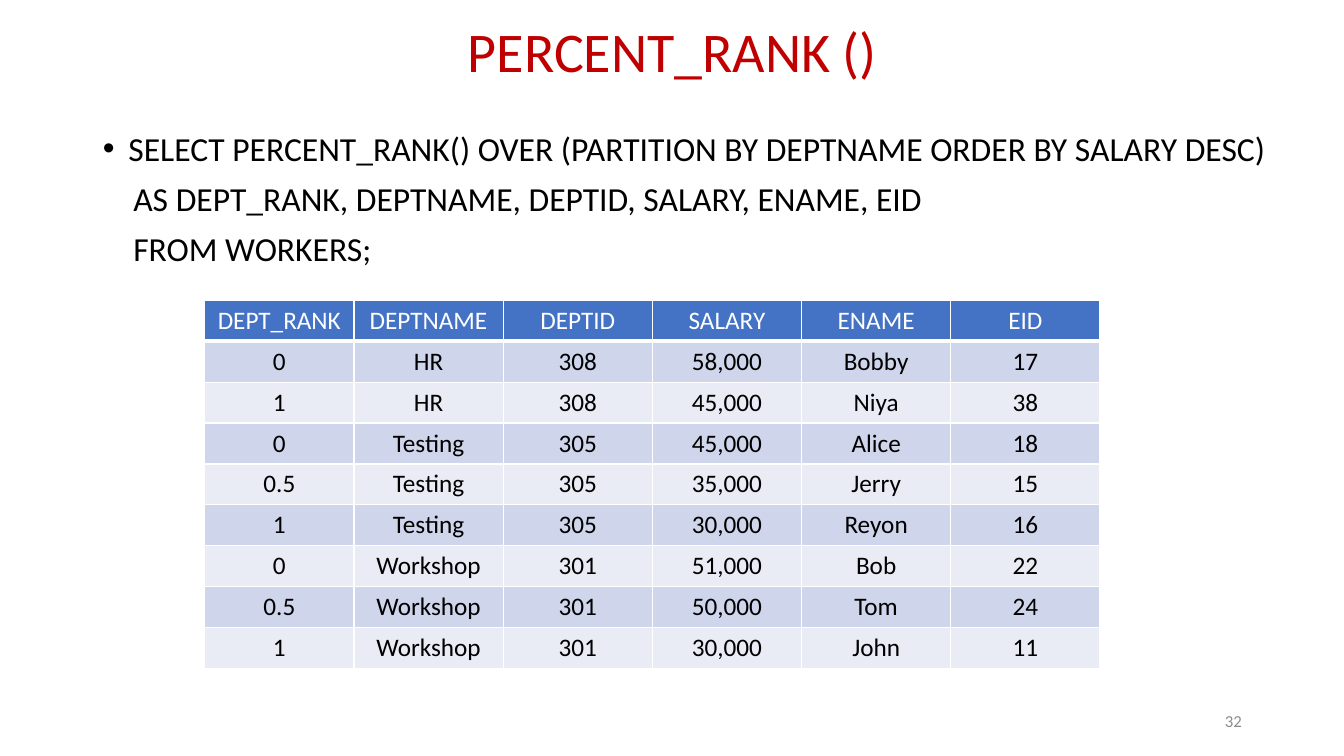
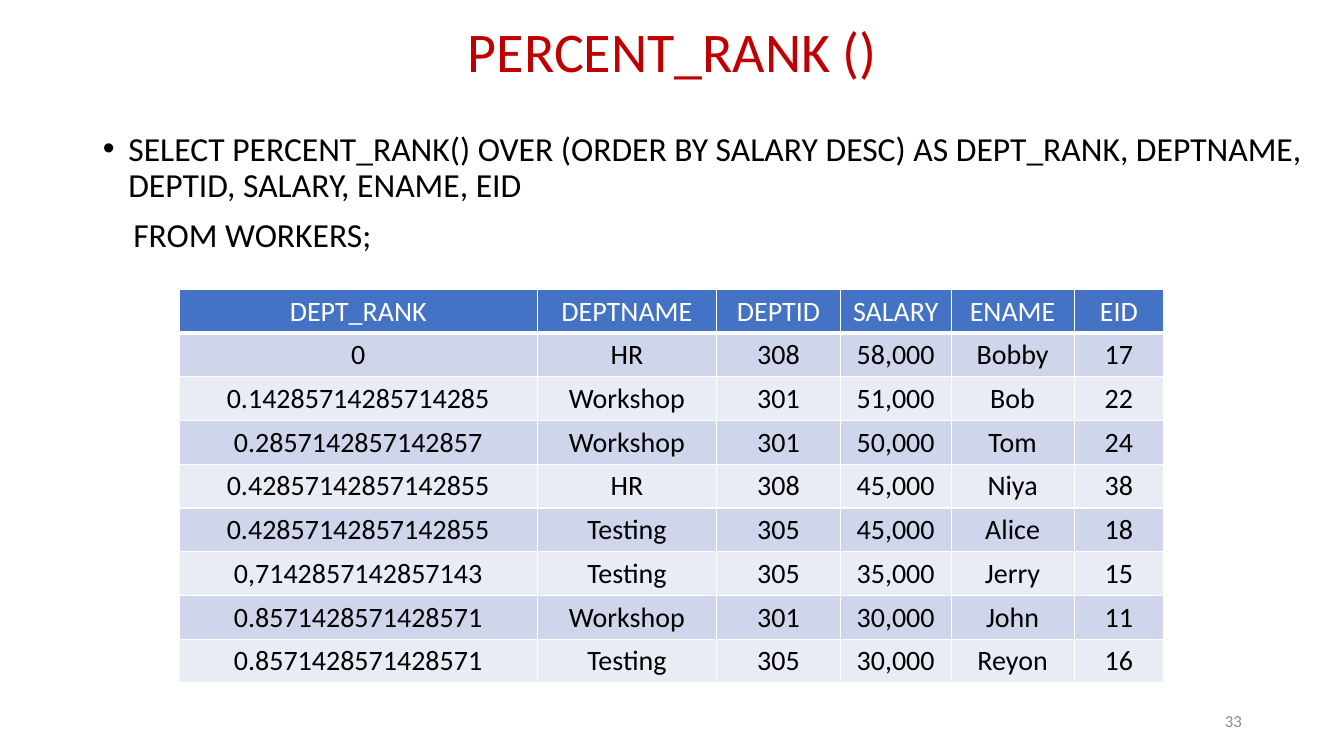
from lxml import etree
from pptx import Presentation
from pptx import util as u
from pptx.dml.color import RGBColor
from pptx.enum import text
from pptx.oxml import ns

FONT = "Calibri"
RED, BLACK, WHITE, GREY = "C00000", "000000", "FFFFFF", "8C8C8C"
HEADER_FILL = "4472C4"
BAND_FILLS = ("CFD5EA", "E9EBF5")

HEADINGS = ("DEPT_RANK", "DEPTNAME", "DEPTID", "SALARY", "ENAME", "EID")
DEPARTMENT_IDS = {"HR": "308", "Testing": "305", "Workshop": "301"}
WORKERS = {
    "Bobby": ("HR", "58,000", "17"),
    "Niya": ("HR", "45,000", "38"),
    "Alice": ("Testing", "45,000", "18"),
    "Jerry": ("Testing", "35,000", "15"),
    "Reyon": ("Testing", "30,000", "16"),
    "Bob": ("Workshop", "51,000", "22"),
    "Tom": ("Workshop", "50,000", "24"),
    "John": ("Workshop", "30,000", "11"),
}

PARTITION_QUERY = (
    "SELECT PERCENT_RANK() OVER (PARTITION BY DEPTNAME ORDER BY SALARY DESC)",
    "    AS DEPT_RANK, DEPTNAME, DEPTID, SALARY, ENAME, EID",
    "    FROM WORKERS;",
)
PARTITION_RANKS = (
    ("0", "Bobby"), ("1", "Niya"),
    ("0", "Alice"), ("0.5", "Jerry"), ("1", "Reyon"),
    ("0", "Bob"), ("0.5", "Tom"), ("1", "John"),
)
OVERALL_QUERY = (
    "SELECT PERCENT_RANK() OVER (ORDER BY SALARY DESC) AS DEPT_RANK, "
    "DEPTNAME, DEPTID, SALARY, ENAME, EID",
    "    FROM WORKERS;",
)
OVERALL_RANKS = (
    ("0", "Bobby"),
    ("0.14285714285714285", "Bob"),
    ("0.2857142857142857", "Tom"),
    ("0.42857142857142855", "Niya"),
    ("0.42857142857142855", "Alice"),
    ("0,7142857142857143", "Jerry"),
    ("0.8571428571428571", "John"),
    ("0.8571428571428571", "Reyon"),
)


def color(hex_value):
    return RGBColor.from_string(hex_value)


def style(para, size, hex_value, align):
    para.alignment = align
    para.font.name = FONT
    para.font.size = u.Pt(size)
    para.font.bold = False
    para.font.color.rgb = color(hex_value)


def place(box, left, top, width, height):
    box.left, box.top = u.Cm(left), u.Cm(top)
    box.width, box.height = u.Cm(width), u.Cm(height)


def add_title(page, title):
    box = page.shapes.title
    place(box, 2.34, -0.48, 29.21, 3.68)
    frame = box.text_frame
    frame.text = title
    frame.auto_size = text.MSO_AUTO_SIZE.NONE
    frame.vertical_anchor = text.MSO_ANCHOR.MIDDLE
    para = frame.paragraphs[0]
    para.line_spacing = 0.9
    style(para, 40, RED, text.PP_ALIGN.CENTER)


def set_bullet(para, shown):
    props = para._p.get_or_add_pPr()
    indent = u.Cm(0.64) if shown else 0
    props.set("marL", str(indent))
    props.set("indent", str(-indent))
    if shown:
        etree.SubElement(props, ns.qn("a:buFont"), typeface="Arial")
        etree.SubElement(props, ns.qn("a:buChar"), char="•")
    else:
        etree.SubElement(props, ns.qn("a:buNone"))


def add_query(page, lines):
    box = page.placeholders[1]
    place(box, 2.34, 3.2, 31.19, 12.09)
    frame = box.text_frame
    frame.auto_size = text.MSO_AUTO_SIZE.NONE
    for index, line in enumerate(lines):
        para = frame.add_paragraph() if index else frame.paragraphs[0]
        para.text = line
        para.line_spacing = 0.9
        para.space_before = u.Pt(10 if index else 0)
        set_bullet(para, index == 0)
        style(para, 24, BLACK, text.PP_ALIGN.LEFT)


def add_page_number(page, number):
    box = page.shapes.add_textbox(u.Cm(23.93), u.Cm(17.65), u.Cm(7.62), u.Cm(1.02))
    frame = box.text_frame
    frame.word_wrap = True
    frame.vertical_anchor = text.MSO_ANCHOR.MIDDLE
    frame.text = str(number)
    style(frame.paragraphs[0], 12, GREY, text.PP_ALIGN.RIGHT)


def set_borders(cell, bottom_width):
    props = cell._tc.get_or_add_tcPr()
    for side, width in (("L", 1), ("R", 1), ("T", 1), ("B", bottom_width)):
        line = etree.SubElement(props, ns.qn("a:ln" + side), w=str(u.Pt(width)))
        fill = etree.SubElement(line, ns.qn("a:solidFill"))
        etree.SubElement(fill, ns.qn("a:srgbClr"), val=WHITE)


def fill_cell(cell, value, size, row):
    set_borders(cell, 1 if row else 3)
    cell.fill.solid()
    cell.fill.fore_color.rgb = color(BAND_FILLS[(row - 1) % 2] if row else HEADER_FILL)
    cell.text = value
    style(cell.text_frame.paragraphs[0], size, BLACK if row else WHITE, text.PP_ALIGN.CENTER)


def worker_row(rank, name):
    department, salary, worker_id = WORKERS[name]
    return rank, department, DEPARTMENT_IDS[department], salary, name, worker_id


def add_rank_table(page, ranks, left, top, widths, row_height, size):
    rows = [HEADINGS] + [worker_row(*rank) for rank in ranks]
    table = page.shapes.add_table(
        len(rows), len(widths), u.Cm(left), u.Cm(top),
        u.Cm(sum(widths)), u.Cm(row_height * len(rows)),
    ).table
    for column, width in zip(table.columns, widths):
        column.width = u.Cm(width)
    for row, values in enumerate(rows):
        table.rows[row].height = u.Cm(row_height)
        for column, value in enumerate(values):
            fill_cell(table.cell(row, column), value, size, row)


def add_page(deck, number, query):
    page = deck.slides.add_slide(deck.slide_layouts[1])
    add_title(page, "PERCENT_RANK ()")
    add_page_number(page, number)
    add_query(page, query)
    return page


def main():
    deck = Presentation()
    deck.slide_width, deck.slide_height = u.Cm(33.87), u.Cm(19.05)

    page = add_page(deck, 32, PARTITION_QUERY)
    add_rank_table(page, PARTITION_RANKS, 5.16, 7.57, [3.76] * 6, 1.03, 18)

    page = add_page(deck, 33, OVERALL_QUERY)
    widths = [9.02, 4.52, 3.12, 2.79, 3.1, 2.26]
    add_rank_table(page, OVERALL_RANKS, 4.52, 7.29, widths, 1.1, 20)

    deck.save("out.pptx")


if __name__ == "__main__":
    main()
